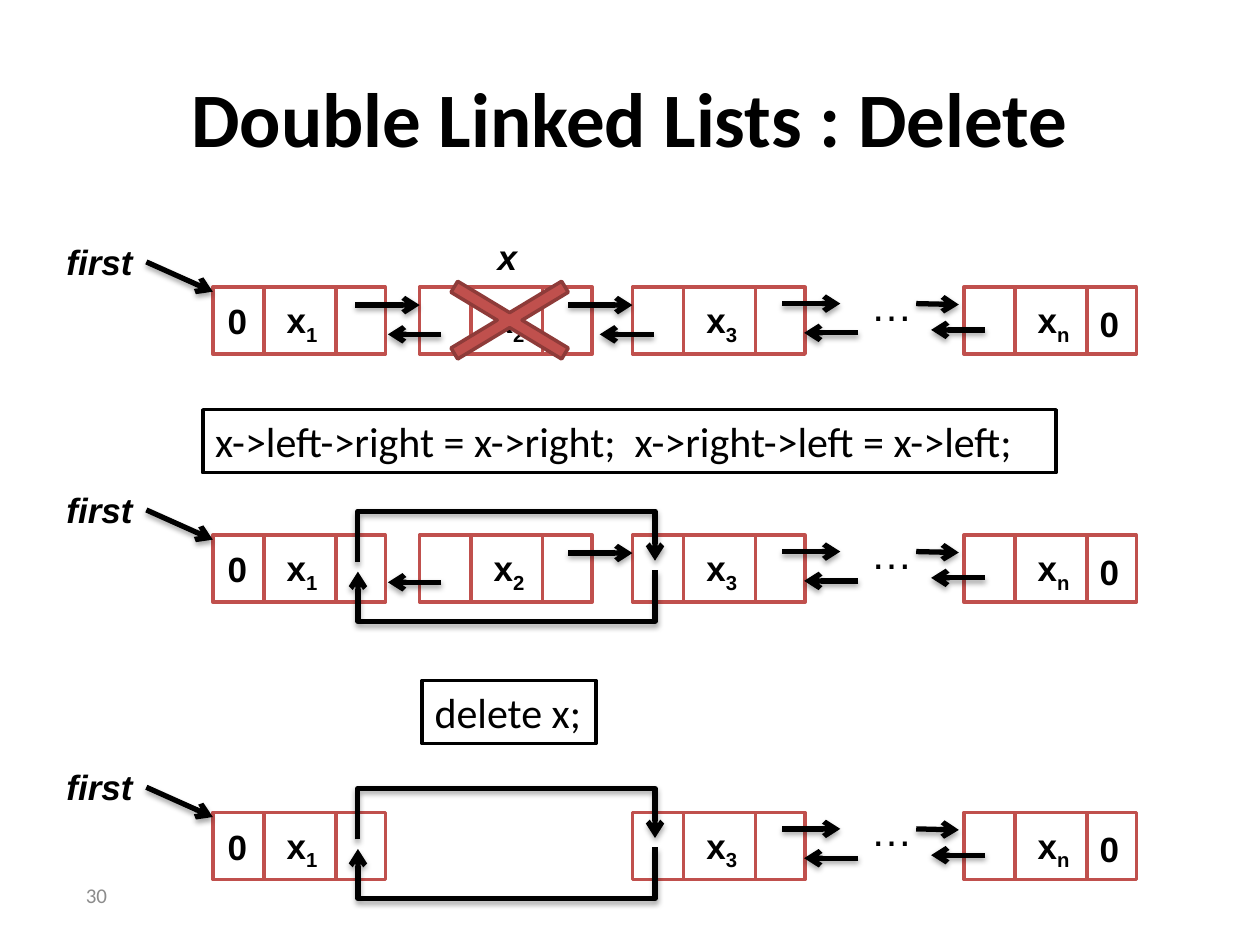
import pptx
import pptx.util
import pptx.dml.color
import pptx.enum.shapes
import pptx.enum.text
import pptx.oxml
import pptx.oxml.ns
from lxml import etree

Cm = pptx.util.Cm
Pt = pptx.util.Pt
RGB = pptx.dml.color.RGBColor.from_string
Align = pptx.enum.text.PP_ALIGN
Anchor = pptx.enum.text.MSO_ANCHOR
Link = pptx.enum.shapes.MSO_CONNECTOR
qn = pptx.oxml.ns.qn


class Theme:
    ink = RGB("000000")
    paper = RGB("FFFFFF")
    node = RGB("C0504D")
    cross_edge = RGB("8E3B39")
    muted = RGB("8C8C8C")
    heading_face = "Calibri"
    label_face = "Arial"
    title_size = Pt(44)
    code_size = Pt(24)
    label_size = Pt(20)
    number_size = Pt(12)
    edge = Pt(2)
    arrow = Pt(3)


deck = pptx.Presentation()
deck.slide_width = Cm(25.4)
deck.slide_height = Cm(19.05)
slide = deck.slides.add_slide(deck.slide_layouts[6])


def write(text, left, top, width, height, size=Theme.label_size, face=Theme.label_face,
          bold=True, italic=False, color=Theme.ink, align=Align.LEFT,
          anchor=Anchor.TOP, subscript=""):
    label = slide.shapes.add_textbox(Cm(left), Cm(top), Cm(width), Cm(height))
    frame = label.text_frame
    frame.word_wrap = True
    frame.vertical_anchor = anchor
    if align == Align.LEFT:
        frame.margin_right = 0
    paragraph = frame.paragraphs[0]
    paragraph.text = text
    paragraph.alignment = align
    if subscript:
        index = paragraph.add_run()
        index.text = subscript
        index.font._element.set("baseline", "-25000")
    for run in paragraph.runs:
        run.font.size = size
        run.font.name = face
        run.font.bold = bold
        run.font.italic = italic
        run.font.color.rgb = color
    return label


def connect(x1, y1, x2, y2, kind=Link.STRAIGHT, arrow=True):
    link = slide.shapes.add_connector(kind, Cm(x1), Cm(y1), Cm(x2), Cm(y2))
    link.line.color.rgb = Theme.ink if arrow else Theme.node
    link.line.width = Theme.arrow if arrow else Theme.edge
    properties = link._element.spPr
    effects = etree.SubElement(properties, qn("a:effectLst"))
    if arrow:
        etree.SubElement(properties.find(qn("a:ln")), qn("a:tailEnd"), type="arrow")
        shadow = etree.SubElement(effects, qn("a:outerShdw"), blurRad="39370",
                                  dist="22860", dir="5400000", rotWithShape="0")
        tint = etree.SubElement(shadow, qn("a:srgbClr"), val=str(Theme.ink))
        etree.SubElement(tint, qn("a:alpha"), val="35000")
    return link


write("Double Linked Lists : Delete", 1.27, 0.76, 22.86, 3.18, Theme.title_size,
      Theme.heading_face, align=Align.CENTER, anchor=Anchor.MIDDLE)

node_width, node_height = 3.48, 1.35
dividers = (1.03, 2.48)
node_lefts = {"1": 4.29, "2": 8.46, "3": 12.75, "n": 19.43}
common_arrows = [
    (2.95, -0.51, 4.29, 0.09),
    (15.77, 0.33, 16.94, 0.33),
    (17.3, 0.92, 16.21, 0.92),
    (18.47, 0.33, 19.33, 0.35),
    (19.86, 0.86, 18.77, 0.86),
]
from_x2 = [(8.89, 0.95, 7.82, 0.95), (11.46, 0.36, 12.75, 0.36)]
to_x2 = [(7.16, 0.36, 8.46, 0.36), (13.18, 0.95, 12.09, 0.95)]
stages = [
    (5.79, "123n", from_x2 + to_x2, False),
    (10.79, "123n", from_x2, True),
    (16.38, "13n", [], True),
]
bypass_center, bypass_span, bypass_reach, bypass_offset = 10.21, 5.99, 1.03, 0.03

for top, nodes, x2_arrows, bypassed in stages:
    for node in nodes:
        left = node_lefts[node]
        cell = slide.shapes.add_shape(pptx.enum.shapes.MSO_SHAPE.RECTANGLE,
                                      Cm(left), Cm(top), Cm(node_width), Cm(node_height))
        cell.shadow.inherit = False
        cell.fill.solid()
        cell.fill.fore_color.rgb = Theme.paper
        cell.line.color.rgb = Theme.node
        cell.line.width = Theme.edge
        for divider in dividers:
            connect(left + divider, top, left + divider, top + node_height, arrow=False)
        write("x", left + 1.24, top + 0.11, 1.17, 1.12, subscript=node)
    write("0", 4.34, top + 0.13, 0.91, 1.12)
    write("0", 21.92, top + 0.18, 0.91, 1.12)
    write("…", 17.3, top - 0.28, 1.37, 1.27, Theme.code_size, bold=False)
    write("first", 1.09, top - 1.07, 1.85, 1.12, italic=True)
    for x1, y1, x2, y2 in common_arrows + x2_arrows:
        connect(x1, top + y1, x2, top + y2)
    if bypassed:
        for middle, direction in ((0.53, -1), (0.72, 1)):
            dx = direction * bypass_offset / 2
            dy = direction * bypass_span / 2
            bypass = connect(bypass_center - dx, top + middle - dy,
                             bypass_center + dx, top + middle + dy, Link.ELBOW)
            bypass._element.spPr.find(qn("a:xfrm")).set("rot", "5400000")
            adjustments = bypass._element.spPr.find(qn("a:prstGeom")).find(qn("a:avLst"))
            bend = round(bypass_reach / bypass_offset * 100000)
            etree.SubElement(adjustments, qn("a:gd"), name="adj1", fmla=f"val {bend}")

write("x", 9.78, 4.62, 0.91, 1.12, italic=True)

for code, left, top, width in (
    ("x->left->right = x->right;  x->right->left = x->left;", 4.09, 8.26, 17.2),
    ("delete x;", 8.51, 13.72, 3.51),
):
    statement = write(code, left, top, width, 1.27, Theme.code_size,
                      Theme.heading_face, bold=False)
    statement.fill.solid()
    statement.fill.fore_color.rgb = Theme.paper
    statement.line.color.rgb = Theme.ink
    statement.line.width = Theme.edge

cross = slide.shapes.add_shape(pptx.enum.shapes.MSO_SHAPE.MATH_MULTIPLY,
                               Cm(8.13), Cm(5.16), Cm(4.29), Cm(2.59))
cross.adjustments[0] = 0.1
cross.shadow.inherit = False
cross.fill.solid()
cross.fill.fore_color.rgb = Theme.node
cross.line.color.rgb = Theme.cross_edge
cross.line.width = Theme.edge

write("30", 0.6, 17.53, 1.81, 1.02, Theme.number_size, Theme.heading_face, bold=False,
      color=Theme.muted, align=Align.RIGHT, anchor=Anchor.MIDDLE)

deck.save("out.pptx")
